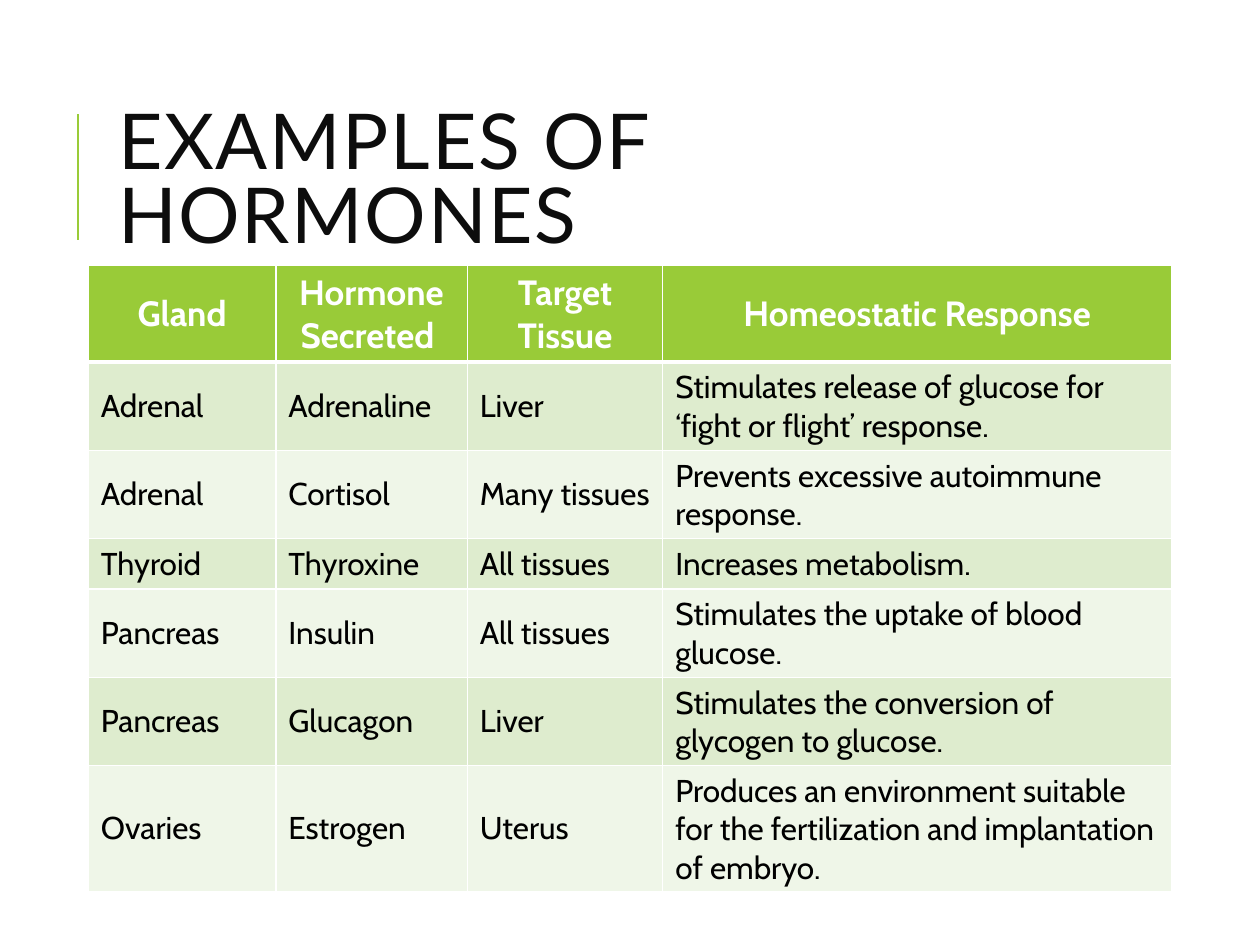
from dataclasses import dataclass

from lxml import etree
from pptx import Presentation
from pptx.dml.color import RGBColor
from pptx.enum.shapes import MSO_CONNECTOR
from pptx.enum.text import MSO_ANCHOR, PP_ALIGN
from pptx.oxml.ns import qn
from pptx.util import Cm, Pt

STRAIGHT = MSO_CONNECTOR.STRAIGHT
MIDDLE = MSO_ANCHOR.MIDDLE
LEFT, CENTER = PP_ALIGN.LEFT, PP_ALIGN.CENTER


@dataclass(frozen=True)
class Theme:
    """Colours, fonts and type sizes of the slide."""
    green: str = "99CB38"
    bands: tuple = ("DEECCE", "EFF6E8")
    white: str = "FFFFFF"
    black: str = "000000"
    title_color: str = "0D0D0D"
    title_font: str = "Lato"
    table_font: str = "Cabin"
    title_size: int = 44
    header_size: int = 20
    body_size: int = 18


THEME = Theme()
COLUMN_WIDTHS = (3.78, 3.86, 3.94, 10.26)
ROW_HEIGHTS = (1.7, 1.57, 1.57, 1, 1.6, 1.6, 2.26)
HORMONES = (
    ("Gland", "Hormone Secreted ", "Target Tissue", "Homeostatic Response"),
    ("Adrenal", "Adrenaline", "Liver",
     "Stimulates release of glucose for ‘fight or flight’ response."),
    ("Adrenal", "Cortisol", "Many tissues", "Prevents excessive autoimmune response."),
    ("Thyroid", "Thyroxine", "All tissues", "Increases metabolism."),
    ("Pancreas", "Insulin", "All tissues", "Stimulates the uptake of blood glucose."),
    ("Pancreas", "Glucagon", "Liver",
     "Stimulates the conversion of glycogen to glucose."),
    ("Ovaries", "Estrogen", "Uterus",
     "Produces an environment suitable for the fertilization and implantation of embryo."),
)


def style_font(font, name, size, color, bold=False):
    """Set the face, size, colour and weight of a font."""
    font.name = name
    font.size = Pt(size)
    font.bold = bold
    font.color.rgb = RGBColor.from_string(color)


def add_title(slide, left, top, width, height):
    """Place the title with its accent line on the left."""
    line_x = left - Cm(0.56)
    line = slide.shapes.add_connector(
        STRAIGHT, line_x, top + Cm(3.84 - 0.64), line_x, top + Cm(0.66))
    line.line.color.rgb = RGBColor.from_string(THEME.green)
    line.line.width = Pt(1.5)
    etree.SubElement(line._element.spPr, qn("a:effectLst"))

    frame = slide.shapes.add_textbox(left, top, width, height).text_frame
    frame.word_wrap = True
    frame.vertical_anchor = MIDDLE
    paragraph = frame.paragraphs[0]
    paragraph.line_spacing = 0.8
    run = paragraph.add_run()
    run.text = "EXAMPLES OF HORMONES"
    style_font(run.font, THEME.title_font, THEME.title_size, THEME.title_color)
    run.font._element.set("spc", "100")


def add_borders(cell, bottom_width):
    """Draw white borders on the four sides of a cell."""
    properties = cell._tc.get_or_add_tcPr()
    for side, width in (("L", 1), ("R", 1), ("T", 1), ("B", bottom_width)):
        border = etree.SubElement(properties, qn(f"a:ln{side}"), w=str(Pt(width)))
        fill = etree.SubElement(border, qn("a:solidFill"))
        etree.SubElement(fill, qn("a:srgbClr"), val=THEME.white)


def fill_cell(cell, text, row_index):
    """Write and style one cell as header or banded body."""
    header = row_index == 0
    above_rule = 3 if header else 1
    add_borders(cell, above_rule)
    cell.fill.solid()
    color = THEME.green if header else THEME.bands[(row_index - 1) % 2]
    cell.fill.fore_color.rgb = RGBColor.from_string(color)
    cell.vertical_anchor = MIDDLE
    cell.text = text
    paragraph = cell.text_frame.paragraphs[0]
    paragraph.alignment = CENTER if header else LEFT
    style_font(paragraph.font, THEME.table_font,
               THEME.header_size if header else THEME.body_size,
               THEME.white if header else THEME.black, header)


def add_hormone_table(slide, left, top, width, height):
    """Place the table of glands, hormones, tissues and responses."""
    table = slide.shapes.add_table(
        len(HORMONES), len(COLUMN_WIDTHS), left, top, width, height).table
    for column, column_width in zip(table.columns, COLUMN_WIDTHS):
        column.width = Cm(column_width)
    for row_index, (row, texts) in enumerate(zip(table.rows, HORMONES)):
        row.height = Cm(ROW_HEIGHTS[row_index])
        for cell, text in zip(row.cells, texts):
            fill_cell(cell, text, row_index)


def main():
    """Build the slide and save it."""
    presentation = Presentation()
    presentation.slide_width, presentation.slide_height = Cm(25.4), Cm(19.05)
    slide = presentation.slides.add_slide(presentation.slide_layouts[6])
    add_title(slide, Cm(2.13), Cm(1.63), Cm(20.24), Cm(4.17))
    add_hormone_table(slide, Cm(1.78), Cm(5.35),
                      Cm(sum(COLUMN_WIDTHS)), Cm(sum(ROW_HEIGHTS)))
    presentation.save("out.pptx")


if __name__ == "__main__":
    main()
